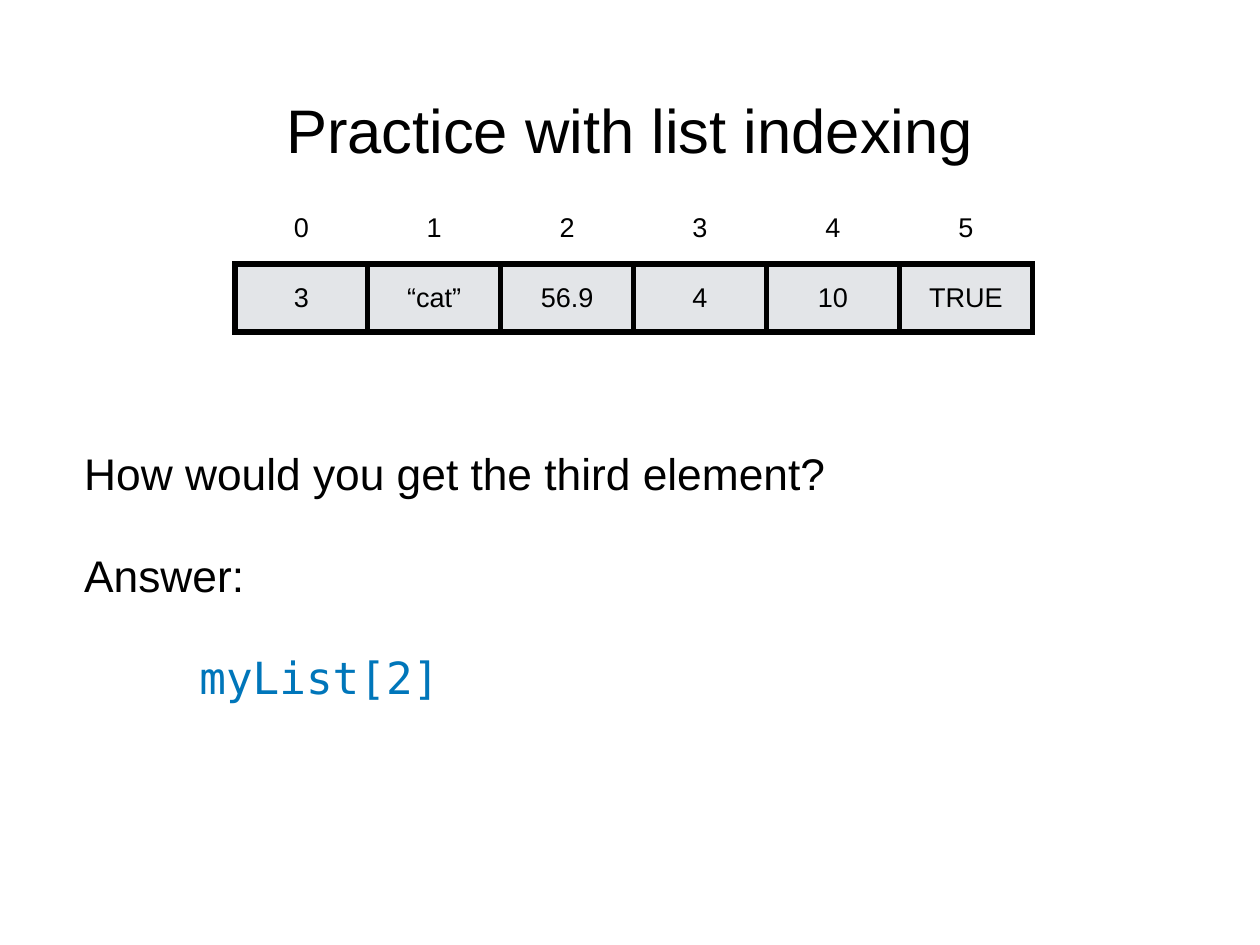
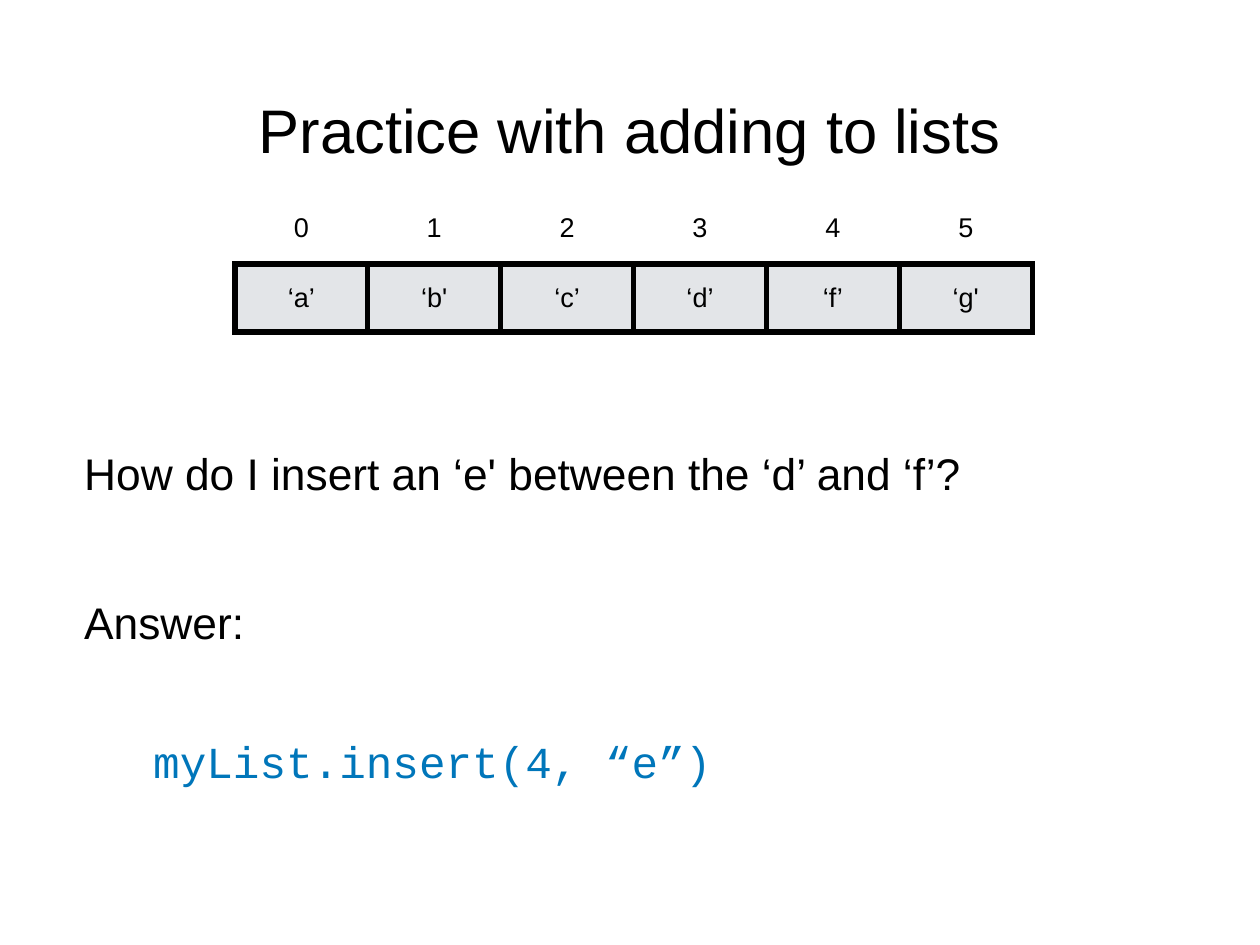
from dataclasses import dataclass

from lxml import etree
from pptx import Presentation
from pptx import util as u
from pptx.dml.color import RGBColor
from pptx.enum import text
from pptx.oxml import ns

SCALE = 9144
SLIDE_SIZE = (1422, 1067)
INSET = 6
BLACK, WHITE, GRAY, BLUE = "000000", "FFFFFF", "E3E5E8", "0076BA"
SANS, MONO, COURIER = "Arial", "DejaVu Sans Mono", "Courier New"
BODY_LEFT, BODY_HEIGHT, CODE_HEIGHT = 89, 71, 68
QUESTION_TOP = 498
TABLE_LEFT, TABLE_TOP, COLUMN_WIDTH = 265, 218, 150
ROW_HEIGHTS = (80, 77)
BORDER_POINTS = 5


@dataclass(frozen=True)
class Style:
    size: int
    font: str = SANS
    color: str = BLACK
    centered: bool = False


@dataclass(frozen=True)
class Line:
    content: str
    left: int
    top: int
    width: int
    height: int
    style: Style
    wrap: bool = False


@dataclass(frozen=True)
class Practice:
    title: str
    values: tuple[str, ...]
    lines: tuple[Line, ...]


TITLE = Style(50, centered=True)
CELL = Style(22, centered=True)
BODY = Style(36)


def px(length: int) -> u.Emu:
    return u.Emu(length * SCALE)


def rgb(color: str) -> RGBColor:
    return RGBColor.from_string(color)


def body_line(content: str, top: int, width: int) -> Line:
    return Line(content, BODY_LEFT, top, width, BODY_HEIGHT, BODY)


def code_line(content: str, left: int, top: int, width: int, font: str) -> Line:
    return Line(content, left, top, width, CODE_HEIGHT, Style(36, font, BLUE))


def set_margins(target) -> None:
    for side in ("left", "right", "top", "bottom"):
        setattr(target, f"margin_{side}", px(INSET))


def write(frame, content: str, style: Style) -> None:
    paragraph = frame.paragraphs[0]
    paragraph.alignment = text.PP_ALIGN.CENTER if style.centered else text.PP_ALIGN.LEFT
    run = paragraph.add_run()
    run.text = content
    run.font.size = u.Pt(style.size)
    run.font.name = style.font
    run.font.color.rgb = rgb(style.color)


def add_line(slide, line: Line) -> None:
    shape = slide.shapes.add_textbox(px(line.left), px(line.top), px(line.width), px(line.height))
    frame = shape.text_frame
    frame.word_wrap = line.wrap
    frame.auto_size = text.MSO_AUTO_SIZE.NONE if line.wrap else text.MSO_AUTO_SIZE.SHAPE_TO_FIT_TEXT
    frame.vertical_anchor = text.MSO_ANCHOR.MIDDLE
    set_margins(frame)
    write(frame, line.content, line.style)


def set_borders(cell, sides: str) -> None:
    properties = cell._tc.get_or_add_tcPr()
    for position, side in enumerate(sides):
        border = etree.Element(ns.qn(f"a:ln{side}"), w=str(u.Pt(BORDER_POINTS)))
        fill = etree.SubElement(border, ns.qn("a:solidFill"))
        etree.SubElement(fill, ns.qn("a:srgbClr"), val=BLACK)
        properties.insert(position, border)


def add_list_table(slide, values: tuple[str, ...]) -> None:
    indexes = tuple(str(index) for index in range(len(values)))
    frame = slide.shapes.add_table(
        2, len(values), px(TABLE_LEFT), px(TABLE_TOP),
        px(COLUMN_WIDTH * len(values)), px(sum(ROW_HEIGHTS)),
    )
    table = frame.table
    table.first_row = False
    table.horz_banding = False
    for column in table.columns:
        column.width = px(COLUMN_WIDTH)
    rows = zip(ROW_HEIGHTS, (indexes, values), (WHITE, GRAY), ("B", "LRTB"))
    for row, (height, contents, color, sides) in enumerate(rows):
        table.rows[row].height = px(height)
        for column, content in enumerate(contents):
            cell = table.cell(row, column)
            cell.vertical_anchor = text.MSO_ANCHOR.MIDDLE
            set_margins(cell)
            cell.fill.solid()
            cell.fill.fore_color.rgb = rgb(color)
            set_borders(cell, sides)
            write(cell.text_frame, content, CELL)


def add_practice(presentation, practice: Practice) -> None:
    slide = presentation.slides.add_slide(presentation.slide_layouts[6])
    add_line(slide, Line(practice.title, 104, 28, 1214, 236, TITLE, wrap=True))
    add_list_table(slide, practice.values)
    for line in practice.lines:
        add_line(slide, line)


PRACTICES = (
    Practice(
        "Practice with list indexing",
        ("3", "“cat”", "56.9", "4", "10", "TRUE"),
        (
            body_line("How would you get the third element?", QUESTION_TOP, 849),
            body_line("Answer:", 614, 193),
            code_line("myList[2]", 219, 730, 283, MONO),
        ),
    ),
    Practice(
        "Practice with adding to lists",
        ("‘a’", "‘b'", "‘c’", "‘d’", "‘f’", "‘g'"),
        (
            body_line("How do I insert an ‘e' between the ‘d’ and ‘f’?", QUESTION_TOP, 1002),
            body_line("Answer:", 667, 193),
            code_line("myList.insert(4, “e”)", 167, 825, 673, COURIER),
        ),
    ),
)


def main() -> None:
    presentation = Presentation()
    presentation.slide_width, presentation.slide_height = map(px, SLIDE_SIZE)
    for practice in PRACTICES:
        add_practice(presentation, practice)
    presentation.save("out.pptx")


if __name__ == "__main__":
    main()
